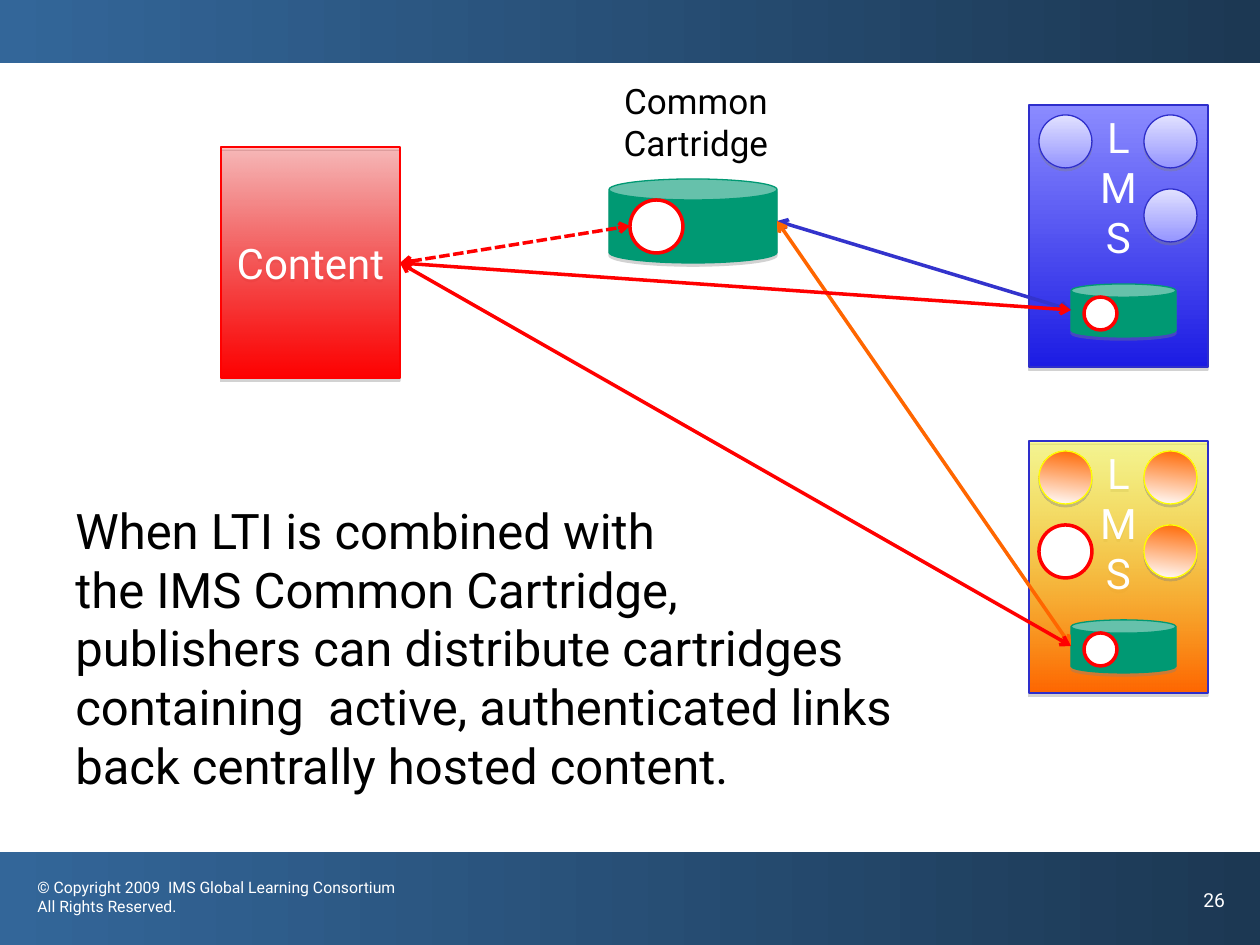
import pptx
import pptx.util
import pptx.dml.color
import pptx.enum.dml
import pptx.enum.shapes
import pptx.enum.text
import pptx.oxml

PX = 914400 / 126
FONT = "Roboto"
KIND = pptx.enum.shapes.MSO_SHAPE
ALIGN = pptx.enum.text.PP_ALIGN
ANCHOR = pptx.enum.text.MSO_ANCHOR
DRAWING = 'xmlns:a="http://schemas.openxmlformats.org/drawingml/2006/main"'
RED, GREEN, BLUE, ORANGE = "FF0000", "009973", "3333CC", "FF6600"
WHITE, BLACK, YELLOW, EDGE = "FFFFFF", "000000", "FFFF00", "2E2ECB"


def emu(*lengths):
    """Turn px lengths into EMU."""
    return [pptx.util.Emu(round(length * PX)) for length in lengths]


def colour(value):
    """Turn a hex string into a colour."""
    return pptx.dml.color.RGBColor.from_string(value)


def element(xml):
    """Parse one drawing element."""
    return pptx.oxml.parse_xml(xml)


def paint(shape, colours, angle=90, alpha=None):
    """Fill a shape with one colour, or with a clockwise-angled gradient of two."""
    if len(colours) == 1:
        shape.fill.solid()
        shape.fill.fore_color.rgb = colour(colours[0])
        return
    shape.fill.gradient()
    shape.fill.gradient_angle = 360 - angle
    for position, (stop, value) in enumerate(zip(shape.fill.gradient_stops, colours)):
        stop.color.rgb = colour(value)
        stop.position = position
    if alpha:
        first = shape.fill._xPr.find(".//" + pptx.oxml.ns.qn("a:srgbClr"))
        first.append(element(f'<a:alpha {DRAWING} val="{alpha * 1000}"/>'))


def add_shape(shapes, kind, box, colours, edge=None, width=0.75, shadow=None,
              angle=90, alpha=None):
    """Add a preset shape, with a (distance, alpha) shadow if given."""
    shape = shapes.add_shape(kind, *emu(*box))
    shape.shadow.inherit = False
    paint(shape, colours, angle, alpha)
    if edge:
        shape.line.color.rgb = colour(edge)
        shape.line.width = pptx.util.Pt(width)
    else:
        shape.line.fill.background()
    if shadow:
        distance, strength = shadow
        effects = shape._element.spPr.find(pptx.oxml.ns.qn("a:effectLst"))
        effects.append(element(
            f'<a:outerShdw {DRAWING} dist="{pptx.util.Pt(distance)}" dir="5400000" '
            f'rotWithShape="0"><a:srgbClr val="808080">'
            f'<a:alpha val="{strength * 1000}"/></a:srgbClr></a:outerShdw>'))
    return shape


def write(shape, lines, size, value, align=ALIGN.LEFT, anchor=ANCHOR.TOP, wrap=True):
    """Write one paragraph per line, breaking inside it at newlines."""
    frame = shape.text_frame
    frame.word_wrap = wrap
    frame.vertical_anchor = anchor
    for index, line in enumerate(lines):
        para = frame.add_paragraph() if index else frame.paragraphs[0]
        para.alignment = align
        for part, words in enumerate(line.split("\n")):
            if part:
                para.add_line_break()
            span = para.add_run()
            span.text = words
            span.font.name = FONT
            span.font.size = pptx.util.Pt(size)
            span.font.color.rgb = colour(value)


def add_text(page, box, lines, size, value, **layout):
    """Add a text box."""
    write(page.shapes.add_textbox(*emu(*box)), lines, size, value, **layout)


def add_bands(page, width, height):
    """Draw the top band and the footer band with its texts."""
    footer = 852
    for top, depth in ((0, 63), (footer, height - footer)):
        add_shape(page.shapes, KIND.RECTANGLE, (0, top, width, depth),
                  ("1C3853", "336699"), angle=180)
    add_text(page, (25, footer + 20, 394, 63),
             ["© Copyright 2009  IMS Global Learning Consortium", "All Rights Reserved."],
             9, WHITE)
    add_text(page, (width - 69, footer + 30, 69, 63), ["26"], 11, WHITE)


def add_panel(page, box, lines, colours, edge, anchor=ANCHOR.TOP, alpha=None):
    """Draw a gradient panel with centred text."""
    panel = add_shape(page.shapes, KIND.RECTANGLE, box, colours, edge,
                      shadow=(1.8, 35), alpha=alpha)
    write(panel, lines, 24, WHITE, align=ALIGN.CENTER, anchor=anchor)


def add_link_hole(shapes, left, top, size):
    """Draw the white circle with a red ring."""
    add_shape(shapes, KIND.OVAL, (left, top, size, size), (WHITE,), RED, 2)


def add_cartridge(page, box):
    """Draw a cartridge can holding one link."""
    left, top, width, height = box
    shapes = page.shapes.add_group_shape().shapes
    add_shape(shapes, KIND.CAN, box, (GREEN,), GREEN, shadow=(1.8, 35))
    add_link_hole(shapes, left + height // 4, top + height // 4, round(height * 0.63))


def add_lms(page, box, colours, tool_colours, tool_edge, angle=90, alpha=None, linked=False):
    """Draw a learning system with its tools and its cartridge."""
    left, top, width, height = box
    add_panel(page, box, "LMS", colours, EDGE, alpha=alpha)
    size = 53
    for across, down in ((10, 10), (115, 10), (115, 84)):
        add_shape(page.shapes, KIND.OVAL, (left + across, top + down, size, size),
                  tool_colours, tool_edge, shadow=(1.6, 38), angle=angle)
    if linked:
        add_link_hole(page.shapes, left + 10, top + 84, size)
    add_cartridge(page, (left + 42, top + 179, 105, 53))


def add_link(page, start, end, value, dashed=False):
    """Draw a line with arrowheads at both ends."""
    link = page.shapes.add_connector(
        pptx.enum.shapes.MSO_CONNECTOR.STRAIGHT, *emu(*start, *end))
    link.line.color.rgb = colour(value)
    link.line.width = pptx.util.Pt(2)
    if dashed:
        link.line.dash_style = pptx.enum.dml.MSO_LINE.SQUARE_DOT
    for tag in ("headEnd", "tailEnd"):
        link.line._ln.append(element(f'<a:{tag} {DRAWING} type="arrow"/>'))
    link._element.spPr.append(element(f"<a:effectLst {DRAWING}/>"))


def add_links(page):
    """Join the content, the cartridge and both learning systems."""
    content, cartridge, hole = (400, 263), (777, 221), (630, 226)
    upper, lower = (1071, 310), (1071, 646)
    add_link(page, content, hole, RED, dashed=True)
    add_link(page, cartridge, upper, BLUE)
    add_link(page, cartridge, lower, ORANGE)
    for system in (upper, lower):
        add_link(page, content, system, RED)


def main():
    """Build the slide."""
    deck = pptx.Presentation()
    deck.slide_width, deck.slide_height = emu(1260, 945)
    page = deck.slides.add_slide(deck.slide_layouts[6])
    add_bands(page, 1260, 945)
    add_panel(page, (221, 147, 179, 231), ["Content"], (RED, RED), RED,
              anchor=ANCHOR.MIDDLE, alpha=24)
    add_cartridge(page, (609, 179, 168, 84))
    add_text(page, (606, 73, 180, 97), ["Common", "Cartridge"], 20, BLACK,
             align=ALIGN.CENTER, wrap=False)
    add_lms(page, (1029, 105, 179, 262), ("8B8BFF", "1C1CE3"), ("E1E1FF", "9595FF"), EDGE)
    add_lms(page, (1029, 441, 179, 252), (YELLOW, ORANGE), (ORANGE, WHITE), YELLOW,
            angle=97, alpha=38, linked=True)
    add_links(page)
    add_text(page, (63, 494, 914, 307),
             ["When LTI is combined with",
              "the IMS Common Cartridge, \npublishers can distribute cartridges containing  "
              "active, authenticated links back centrally hosted content."], 28, BLACK)
    deck.save("out.pptx")


if __name__ == "__main__":
    main()
